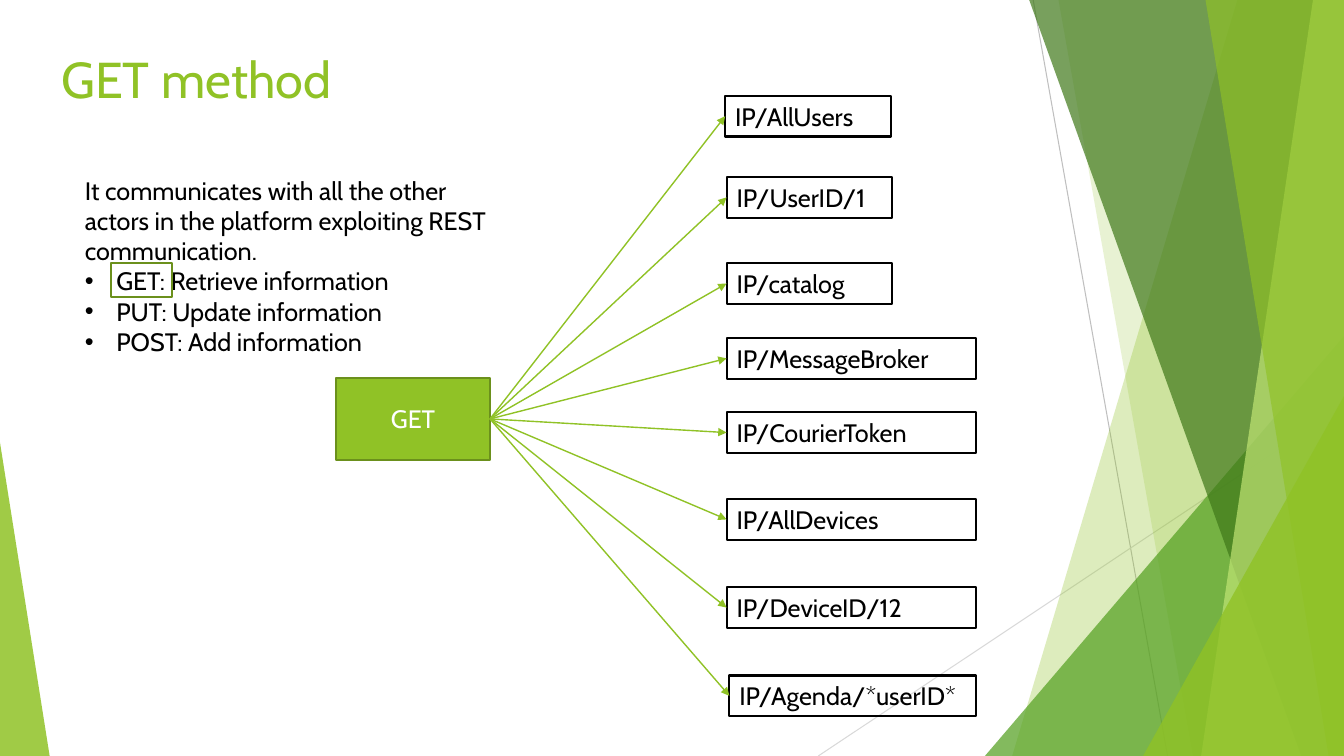
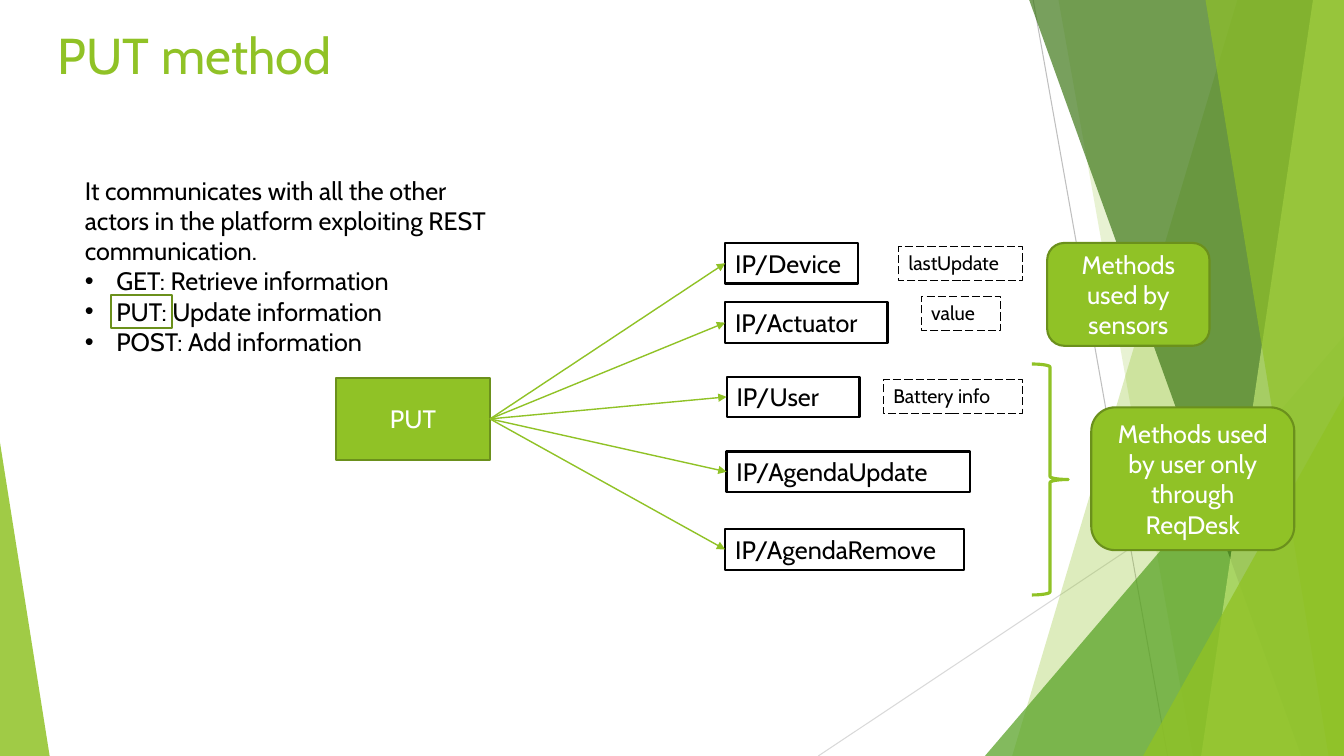
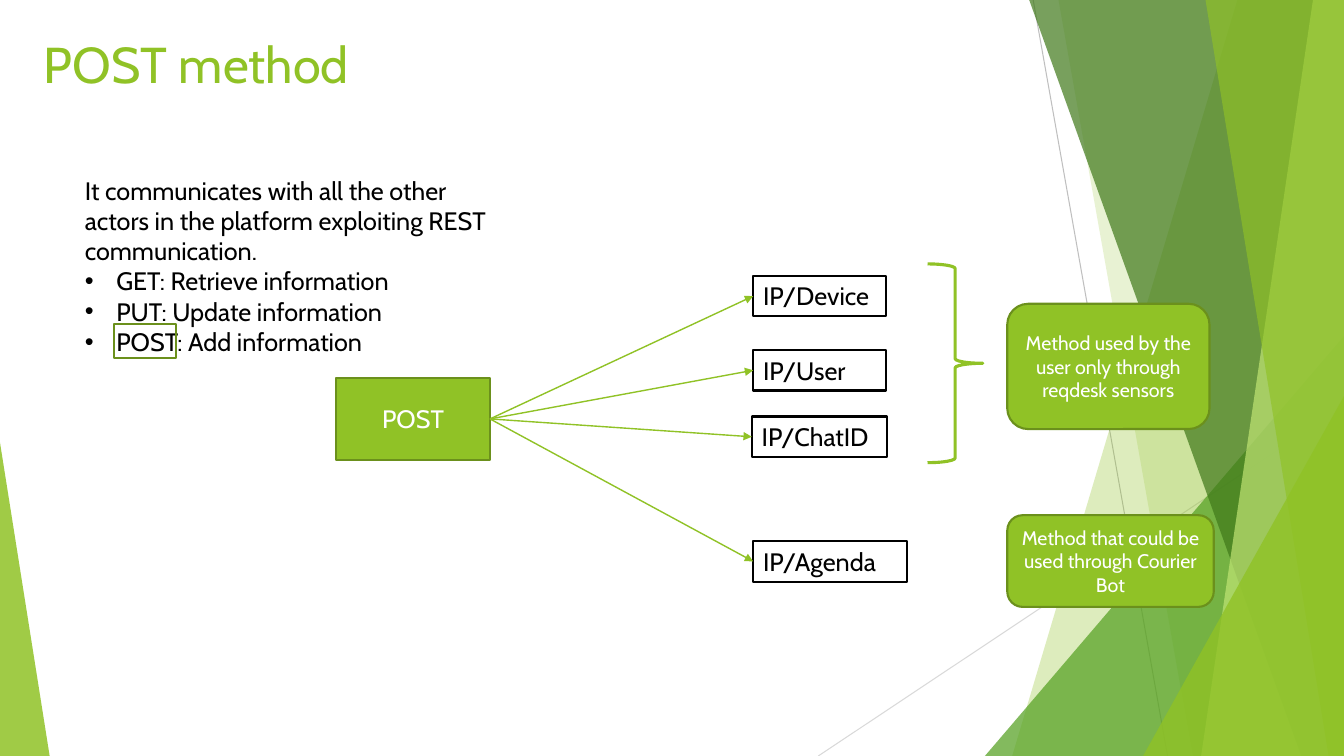
from dataclasses import dataclass

from lxml import etree
from pptx import Presentation
from pptx.dml.color import RGBColor
from pptx.enum.dml import MSO_LINE
from pptx.enum.shapes import MSO_CONNECTOR, MSO_SHAPE
from pptx.enum.text import MSO_ANCHOR, MSO_AUTO_SIZE, PP_ALIGN
from pptx.oxml.ns import qn
from pptx.util import Pt

RECTANGLE = MSO_SHAPE.RECTANGLE
ROUNDED = MSO_SHAPE.ROUNDED_RECTANGLE
TRIANGLE = MSO_SHAPE.ISOSCELES_TRIANGLE
BRACE = MSO_SHAPE.RIGHT_BRACE
STRAIGHT = MSO_CONNECTOR.STRAIGHT
LONG_DASH = MSO_LINE.LONG_DASH
LEFT, CENTER = PP_ALIGN.LEFT, PP_ALIGN.CENTER
TOP, MIDDLE = MSO_ANCHOR.TOP, MSO_ANCHOR.MIDDLE
LEFT_SIDE, RIGHT_SIDE = 1, 3

WIDTH, HEIGHT = 960, 540
TITLE_ONLY = 5


# Theme
@dataclass(frozen=True)
class Theme:
    font: str = "Cabin"
    green: str = "90C226"
    outline: str = "6B901C"
    leaf: str = "54A021"
    forest: str = "3F7819"
    lime: str = "C0E474"
    gray: str = "BFBFBF"
    pale_gray: str = "D9D9D9"
    black: str = "000000"
    white: str = "FFFFFF"
    title_size: int = 36
    body_size: int = 18
    note_size: int = 14


THEME = Theme()


# Kinds of repeated element, all lengths in points
@dataclass(frozen=True)
class Box:
    left: float
    top: float
    width: float
    height: float


@dataclass(frozen=True)
class Panel:
    """A translucent panel reaching the right edge of the slide."""
    top_x: float
    bottom_x: float
    color: str
    opacity: int


@dataclass(frozen=True)
class Corner:
    """A translucent triangle standing on the bottom edge."""
    left: float
    top: float
    width: float
    apex: float
    color: str
    opacity: int


@dataclass(frozen=True)
class Endpoint:
    text: str
    left: float
    top: float
    width: float


@dataclass(frozen=True)
class Note:
    text: str
    left: float
    top: float
    width: float


@dataclass(frozen=True)
class Callout:
    text: str
    box: Box
    size: int


@dataclass(frozen=True)
class Method:
    name: str
    title: Box
    marker: tuple[float, float]
    endpoints: tuple[Endpoint, ...]
    notes: tuple[Note, ...] = ()
    braces: tuple[Box, ...] = ()
    callouts: tuple[Callout, ...] = ()


# Content
FACETS = (
    Panel(884, 723, THEME.green, 30),
    Panel(756, 852, THEME.green, 20),
    Corner(703.5, 240, 256.5, 1, THEME.leaf, 72),
    Panel(735, 929.5, THEME.forest, 70),
    Panel(938, 858, THEME.lime, 70),
    Panel(861, 949, THEME.green, 65),
    Corner(816.5, 283, 143.5, 1, THEME.green, 80),
    Corner(0, 316, 35.5, 0, THEME.green, 85),
)
INTRO = ("It communicates with all the other actors in the platform "
         "exploiting REST communication.")
ACTIONS = ("GET: Retrieve information", "PUT: Update information",
           "POST: Add information")
INTRO_BOX = Box(53.5, 121.5, 303, 138)
HUB_BOX = Box(240, 270, 110, 58.5)
BULLET_INDENT = 22.5
ENDPOINT_HEIGHT, NOTE_HEIGHT = 29, 24.5
MARKER_WIDTH, MARKER_HEIGHT = 44, 24

METHODS = (
    Method(
        "GET", Box(36.5, 31, 677, 104), (79, 188),
        endpoints=(
            Endpoint("IP/AllUsers", 518, 68.5, 118.5),
            Endpoint("IP/UserID/1", 519, 126.5, 118),
            Endpoint("IP/catalog", 519, 188, 118),
            Endpoint("IP/MessageBroker", 519, 241.5, 178),
            Endpoint("IP/CourierToken", 519, 294.5, 178),
            Endpoint("IP/AllDevices", 519, 356.5, 178),
            Endpoint("IP/DeviceID/12", 519, 419.5, 178),
            Endpoint("IP/Agenda/*userID*", 521, 482.5, 176),
        ),
    ),
    Method(
        "PUT", Box(34, 13.5, 342, 104), (79, 210.5),
        endpoints=(
            Endpoint("IP/Device", 518, 173.5, 95),
            Endpoint("IP/Actuator", 518, 216, 116),
            Endpoint("IP/User", 519, 269, 95),
            Endpoint("IP/AgendaUpdate", 519, 322.5, 174),
            Endpoint("IP/AgendaRemove", 518, 378, 170.5),
        ),
        notes=(
            Note("lastUpdate", 642, 176, 88.5),
            Note("value", 658, 211.5, 57),
            Note("Battery info", 631, 271, 99.5),
        ),
        braces=(Box(737, 260, 26, 165),),
        callouts=(
            Callout("Methods used by sensors",
                    Box(748, 173.5, 116, 73.5), THEME.body_size),
            Callout("Methods used by user only through ReqDesk",
                    Box(779.5, 291, 145, 102), THEME.body_size),
        ),
    ),
    Method(
        "POST", Box(24, 20, 677, 104), (81.5, 231.5),
        endpoints=(
            Endpoint("IP/Device", 538, 197, 95),
            Endpoint("IP/User", 538, 250, 95),
            Endpoint("IP/ChatID", 537, 297.5, 96.5),
            Endpoint("IP/Agenda", 538, 386.5, 110),
        ),
        braces=(Box(662.5, 188.5, 39.5, 142),),
        callouts=(
            Callout("Method used by the user only through reqdesk sensors",
                    Box(719.5, 217, 144.5, 89.5), THEME.note_size),
            Callout("Method that could be used through Courier Bot",
                    Box(719.5, 368, 147.5, 65.5), THEME.note_size),
        ),
    ),
)


# Drawing helpers
def place(box: Box) -> tuple:
    return Pt(box.left), Pt(box.top), Pt(box.width), Pt(box.height)


def format_paragraph(paragraph, size: int, color: str, align=LEFT) -> None:
    paragraph.alignment = align
    paragraph.font.name = THEME.font
    paragraph.font.size = Pt(size)
    paragraph.font.color.rgb = RGBColor.from_string(color)


def format_frame(frame, anchor) -> None:
    frame.word_wrap = True
    frame.auto_size = MSO_AUTO_SIZE.NONE
    frame.vertical_anchor = anchor


def set_line(item, color: str, width: float) -> None:
    item.line.color.rgb = RGBColor.from_string(color)
    item.line.width = Pt(width)


def add_preset(slide, kind, box: Box, line: str, width: float, fill: str = ""):
    shape = slide.shapes.add_shape(kind, *place(box))
    shape.shadow.inherit = False
    set_line(shape, line, width)
    if fill:
        shape.fill.solid()
        shape.fill.fore_color.rgb = RGBColor.from_string(fill)
    else:
        shape.fill.background()
    return shape


def add_label(shape, text: str, size: int, color: str, align, anchor) -> None:
    format_frame(shape.text_frame, anchor)
    paragraph = shape.text_frame.paragraphs[0]
    paragraph.text = text
    format_paragraph(paragraph, size, color, align)


def add_line(slide, start: tuple, end: tuple, color: str, width: float):
    connector = slide.shapes.add_connector(
        STRAIGHT, *(Pt(value) for value in (*start, *end)))
    set_line(connector, color, width)
    etree.SubElement(connector.element.spPr, qn("a:effectLst"))
    return connector


# Shared backdrop, kept on the layout
def add_facet(slide, facet: Panel | Corner) -> None:
    if isinstance(facet, Panel):
        builder = slide.shapes.build_freeform(Pt(facet.top_x), Pt(-0.5))
        builder.add_line_segments([
            (Pt(WIDTH), Pt(-0.5)), (Pt(WIDTH), Pt(HEIGHT)),
            (Pt(facet.bottom_x), Pt(HEIGHT))])
        shape = builder.convert_to_shape()
    else:
        box = Box(facet.left, facet.top, facet.width, HEIGHT - facet.top)
        shape = slide.shapes.add_shape(TRIANGLE, *place(box))
        shape.adjustments[0] = facet.apex
    shape.shadow.inherit = False
    shape.line.fill.background()
    shape.fill.solid()
    shape.fill.fore_color.rgb = RGBColor.from_string(facet.color)
    color = shape.element.spPr.find(qn("a:solidFill")).find(qn("a:srgbClr"))
    etree.SubElement(color, qn("a:alpha"), val=str(facet.opacity * 1000))


def add_backdrop(slide, layout) -> None:
    add_line(slide, (738, 0), (834, HEIGHT), THEME.gray, 0.75)
    add_line(slide, (WIDTH, 290), (584.5, HEIGHT), THEME.pale_gray, 0.75)
    for facet in FACETS:
        add_facet(slide, facet)
    for placeholder in list(layout.placeholders)[1:]:
        layout.shapes.element.remove(placeholder.element)
    for shape in list(slide.shapes):
        if not shape.is_placeholder:
            layout.shapes.element.append(shape.element)


# Parts of a method slide
def set_title(slide, method: Method) -> None:
    title = slide.shapes.title
    title.left, title.top, title.width, title.height = place(method.title)
    add_label(title, f"{method.name} method", THEME.title_size, THEME.green,
              LEFT, TOP)


def add_intro(slide) -> None:
    frame = slide.shapes.add_textbox(*place(INTRO_BOX)).text_frame
    format_frame(frame, TOP)
    frame.text = "\n".join((INTRO, *ACTIONS))
    for index, paragraph in enumerate(frame.paragraphs):
        if index:
            properties = paragraph._p.get_or_add_pPr()
            properties.set("marL", str(Pt(BULLET_INDENT)))
            properties.set("indent", str(-Pt(BULLET_INDENT)))
            etree.SubElement(properties, qn("a:buFont"), typeface="Arial")
            etree.SubElement(properties, qn("a:buChar"), char="•")
        format_paragraph(paragraph, THEME.body_size, THEME.black)


def add_endpoint(slide, hub, endpoint: Endpoint) -> None:
    box = Box(endpoint.left, endpoint.top, endpoint.width, ENDPOINT_HEIGHT)
    shape = add_preset(slide, RECTANGLE, box, THEME.black, 1.5)
    add_label(shape, endpoint.text, THEME.body_size, THEME.black, LEFT, TOP)
    arrow = add_line(slide, (0, 0), (0, 0), THEME.green, 1)
    arrow.begin_connect(hub, RIGHT_SIDE)
    arrow.end_connect(shape, LEFT_SIDE)
    etree.SubElement(arrow.get_or_add_ln(), qn("a:tailEnd"), type="triangle")


def add_note(slide, note: Note) -> None:
    box = Box(note.left, note.top, note.width, NOTE_HEIGHT)
    shape = add_preset(slide, RECTANGLE, box, THEME.black, 0.75)
    shape.line.dash_style = LONG_DASH
    add_label(shape, note.text, THEME.note_size, THEME.black, LEFT, TOP)


def add_filled(slide, kind, box: Box, text: str, size: int):
    shape = add_preset(slide, kind, box, THEME.outline, 1.5, THEME.green)
    add_label(shape, text, size, THEME.white, CENTER, MIDDLE)
    return shape


def fill_slide(slide, method: Method) -> None:
    set_title(slide, method)
    add_intro(slide)
    hub = add_filled(slide, RECTANGLE, HUB_BOX, method.name, THEME.body_size)
    for endpoint in method.endpoints:
        add_endpoint(slide, hub, endpoint)
    marker = Box(*method.marker, MARKER_WIDTH, MARKER_HEIGHT)
    add_preset(slide, RECTANGLE, marker, THEME.outline, 1.5)
    for note in method.notes:
        add_note(slide, note)
    for brace in method.braces:
        add_preset(slide, BRACE, brace, THEME.green, 2.25)
    for callout in method.callouts:
        add_filled(slide, ROUNDED, callout.box, callout.text, callout.size)


def main() -> None:
    presentation = Presentation()
    presentation.slide_width, presentation.slide_height = Pt(WIDTH), Pt(HEIGHT)
    layout = presentation.slide_layouts[TITLE_ONLY]
    slides = [presentation.slides.add_slide(layout) for _ in METHODS]
    add_backdrop(slides[0], layout)
    for slide, method in zip(slides, METHODS):
        fill_slide(slide, method)
    presentation.save("out.pptx")


if __name__ == "__main__":
    main()
